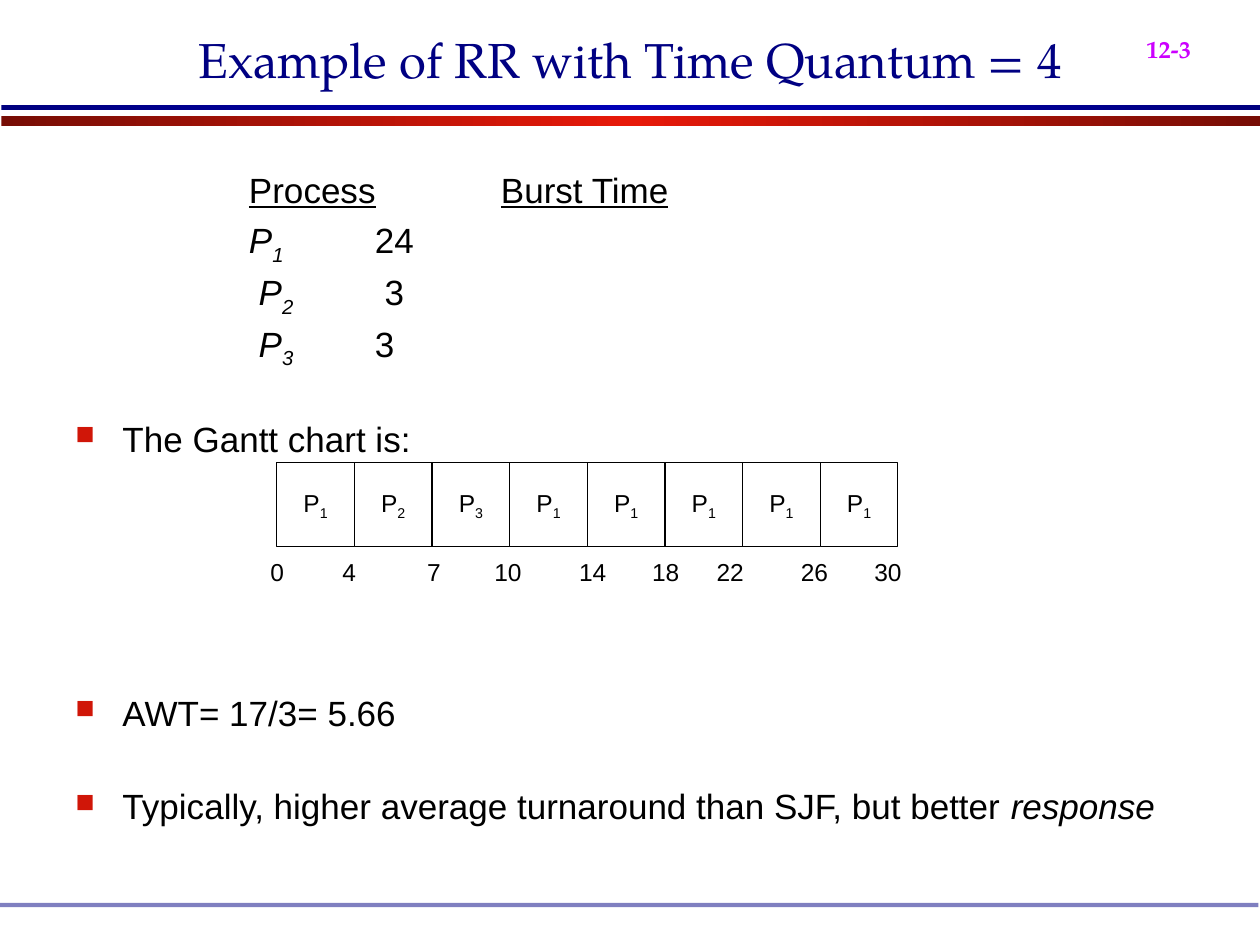
from lxml import etree
from pptx import Presentation
from pptx.dml.color import RGBColor
from pptx.enum.shapes import MSO_SHAPE
from pptx.enum.text import MSO_ANCHOR, PP_ALIGN
from pptx.oxml.ns import qn
from pptx.util import Cm, Pt

RECTANGLE = MSO_SHAPE.RECTANGLE
TOP, MIDDLE, BOTTOM = MSO_ANCHOR.TOP, MSO_ANCHOR.MIDDLE, MSO_ANCHOR.BOTTOM
CENTER = PP_ALIGN.CENTER

THEME = {
    "serif": "TeX Gyre Pagella", "sans": "Arial",
    "navy": "000082", "magenta": "CC00FF", "black": "000000",
    "white": "FFFFFF", "bullet": "D01608",
    "red_bar": ("770D05", "E71909", "770D05"),
    "blue_bar": ("00007F", "0000B6", "00007F"),
    "title_size": 28, "page_size": 24, "body_size": 20, "gantt_size": 14,
}
ITALIC, UNDERLINE = {"italic": True}, {"underline": True}
SUBSCRIPT = {"baseline": "-25000"}

TITLE = "Example of RR with Time Quantum = 4"
PAGE = "12-3"
HEADINGS = ("Process", "Burst Time")
# name, number, burst time
PROCESSES = [("P", "1", "24"), (" P", "2", " 3"), (" P", "3", "3")]
# space before (pt), runs
BULLETS = [
    (0, [("The Gantt chart is:", {})]),
    (135, [("AWT= 17/3= 5.66", {})]),
    (32, [("Typically, higher average turnaround than SJF, but better ", {}),
          ("response", ITALIC)]),
]
GANTT = ["1", "2", "3", "1", "1", "1", "1", "1"]
# time, centre of its label (cm)
TICKS = [("0", 5.59), ("4", 7.04), ("7", 8.75), ("10", 10.24), ("14", 11.95),
         ("18", 13.42), ("22", 14.72), ("26", 16.42), ("30", 17.9)]

COLUMN_GAP = "\t\t"  # two default tab stops of 1.27 cm
BULLET_INDENT = 0.95
GANTT_LEFT, GANTT_TOP, GANTT_WIDTH, GANTT_HEIGHT = 5.58, 9.32, 12.52, 1.7
TICK_TOP, TICK_WIDTH, TICK_HEIGHT = 11.1, 1.04, 0.86
NO_MARGINS = {"margin_left": 0, "margin_right": 0}


def apply(target, values):
    for name, value in values.items():
        setattr(target, name, value)


def add_runs(paragraph, runs, size, color="black", face="sans"):
    """Add (text, format) runs; a baseline in the format shifts the run."""
    for text, extra in runs:
        run = paragraph.add_run()
        run.text = text
        extra = dict(extra)
        baseline = extra.pop("baseline", None)
        apply(run.font, {"name": THEME[face], "size": Pt(THEME[size]), **extra})
        run.font.color.rgb = RGBColor.from_string(THEME[color])
        if baseline:
            run.font._element.set("baseline", baseline)


def prepare_frame(shape, anchor, wrap):
    frame = shape.text_frame
    apply(frame, {"vertical_anchor": anchor, "word_wrap": wrap})
    return frame


def add_box(slide, place, anchor=TOP):
    return prepare_frame(slide.shapes.add_textbox(*map(Cm, place)), anchor, True)


def add_rectangle(slide, place):
    rectangle = slide.shapes.add_shape(RECTANGLE, *map(Cm, place))
    rectangle.shadow.inherit = False
    return rectangle


def add_gradient_bar(slide, place, colors):
    bar = add_rectangle(slide, place)
    bar.line.fill.background()
    bar.fill.gradient()
    bar.fill.gradient_angle = 0
    stops = bar._element.spPr.find(qn("a:gradFill")).find(qn("a:gsLst"))
    for stop in list(stops):
        stops.remove(stop)
    for position, color in zip((0, 50000, 100000), colors):
        stop = etree.SubElement(stops, qn("a:gs"), pos=str(position))
        etree.SubElement(stop, qn("a:srgbClr"), val=color)


def add_bullet(paragraph):
    props = paragraph._p.get_or_add_pPr()
    props.set("marL", str(Cm(BULLET_INDENT)))
    props.set("indent", str(-Cm(BULLET_INDENT)))
    color = etree.SubElement(props, qn("a:buClr"))
    etree.SubElement(color, qn("a:srgbClr"), val=THEME["bullet"])
    etree.SubElement(props, qn("a:buSzPct"), val="75000")
    etree.SubElement(props, qn("a:buChar"), char="■")


def add_paragraphs(frame, rows, bulleted=False):
    """Fill a frame from (space before, runs) rows."""
    for index, (space, runs) in enumerate(rows):
        paragraph = frame.add_paragraph() if index else frame.paragraphs[0]
        apply(paragraph, {"line_spacing": 0.9, "space_before": Pt(space)})
        if bulleted:
            add_bullet(paragraph)
        add_runs(paragraph, runs, "body_size")


def add_header(slide):
    add_gradient_bar(slide, (0.03, 2.34, 25.37, 0.2), THEME["red_bar"])
    add_gradient_bar(slide, (0.03, 2.11, 25.37, 0.1), THEME["blue_bar"])
    page = add_box(slide, (22.86, 0, 2.74, 1.42)).paragraphs[0]
    add_runs(page, [(PAGE, {"bold": True, **SUBSCRIPT})],
             "page_size", "magenta", "serif")
    title = add_box(slide, (1.9, 0, 21.6, 1.9), BOTTOM).paragraphs[0]
    title.alignment = CENTER
    add_runs(title, [(TITLE, {})], "title_size", "navy", "serif")


def add_footer_line(slide):
    footer = add_rectangle(slide, (0, 18.2, 25.37, 0.09))
    footer.line.fill.background()
    footer.fill.solid()
    footer.fill.fore_color.rgb = RGBColor.from_string(THEME["navy"])
    color = footer._element.spPr.find(qn("a:solidFill"))[0]
    etree.SubElement(color, qn("a:alpha"), val="50000")


def add_body(slide):
    process, burst = HEADINGS
    rows = [(0, [(process, UNDERLINE), (COLUMN_GAP, {}), (burst, UNDERLINE)])]
    rows += [(5, [(name, ITALIC), (number, {**ITALIC, **SUBSCRIPT}),
                  (COLUMN_GAP + time, {})]) for name, number, time in PROCESSES]
    add_paragraphs(add_box(slide, (4.77, 3.36, 12, 4.6)), rows)
    add_paragraphs(add_box(slide, (1.27, 8.38, 22.86, 9.48)), BULLETS, True)


def add_gantt(slide):
    cell_width = GANTT_WIDTH / len(GANTT)
    for index, number in enumerate(GANTT):
        cell = add_rectangle(slide, (GANTT_LEFT + index * cell_width, GANTT_TOP,
                                     cell_width, GANTT_HEIGHT))
        cell.fill.solid()
        cell.fill.fore_color.rgb = RGBColor.from_string(THEME["white"])
        cell.line.color.rgb = RGBColor.from_string(THEME["black"])
        cell.line.width = Pt(0.75)
        label = prepare_frame(cell, MIDDLE, False).paragraphs[0]
        label.alignment = CENTER
        add_runs(label, [("P", {}), (number, SUBSCRIPT)], "gantt_size")
    for time, center in TICKS:
        frame = add_box(slide, (center - TICK_WIDTH / 2, TICK_TOP,
                                TICK_WIDTH, TICK_HEIGHT), MIDDLE)
        apply(frame, NO_MARGINS)
        tick = frame.paragraphs[0]
        tick.alignment = CENTER
        add_runs(tick, [(time, {})], "gantt_size")


def main():
    deck = Presentation()
    apply(deck, {"slide_width": Cm(25.4), "slide_height": Cm(19.05)})
    slide = deck.slides.add_slide(deck.slide_layouts[6])
    add_header(slide)
    add_footer_line(slide)
    add_body(slide)
    add_gantt(slide)
    deck.save("out.pptx")


if __name__ == "__main__":
    main()
